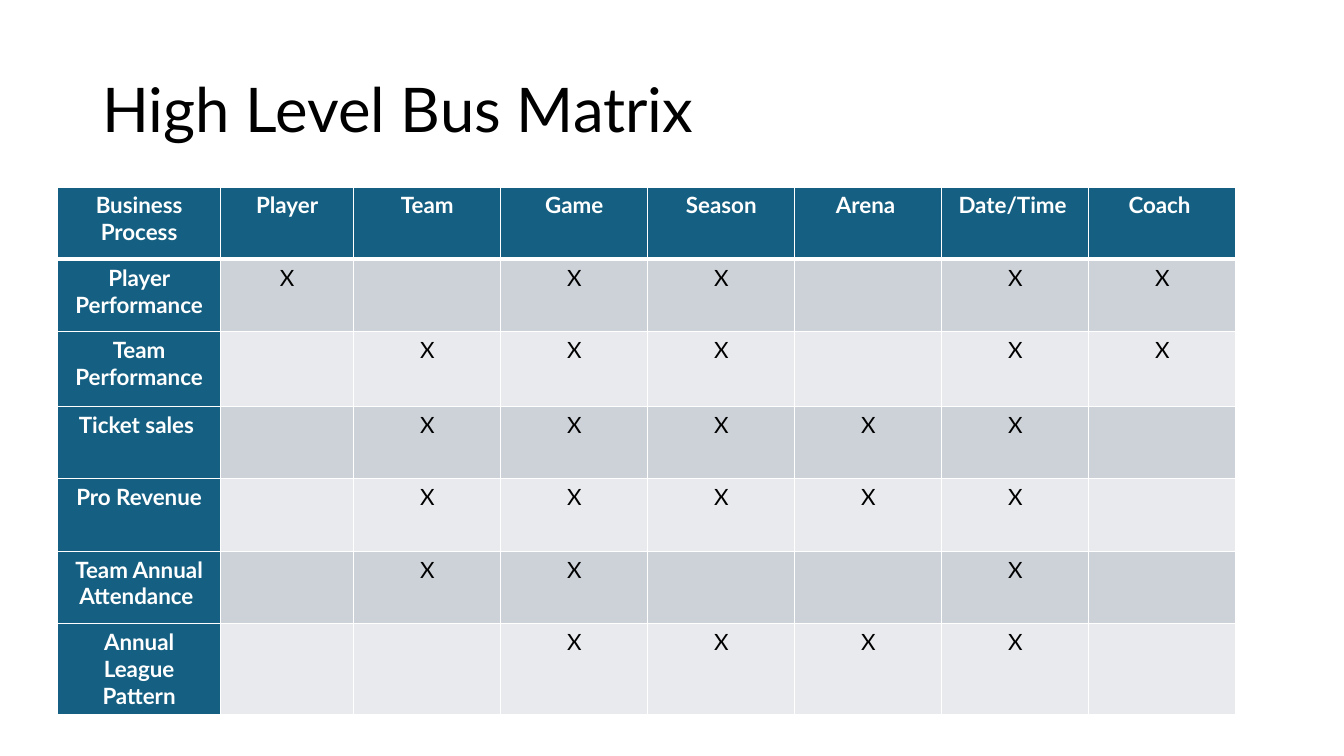
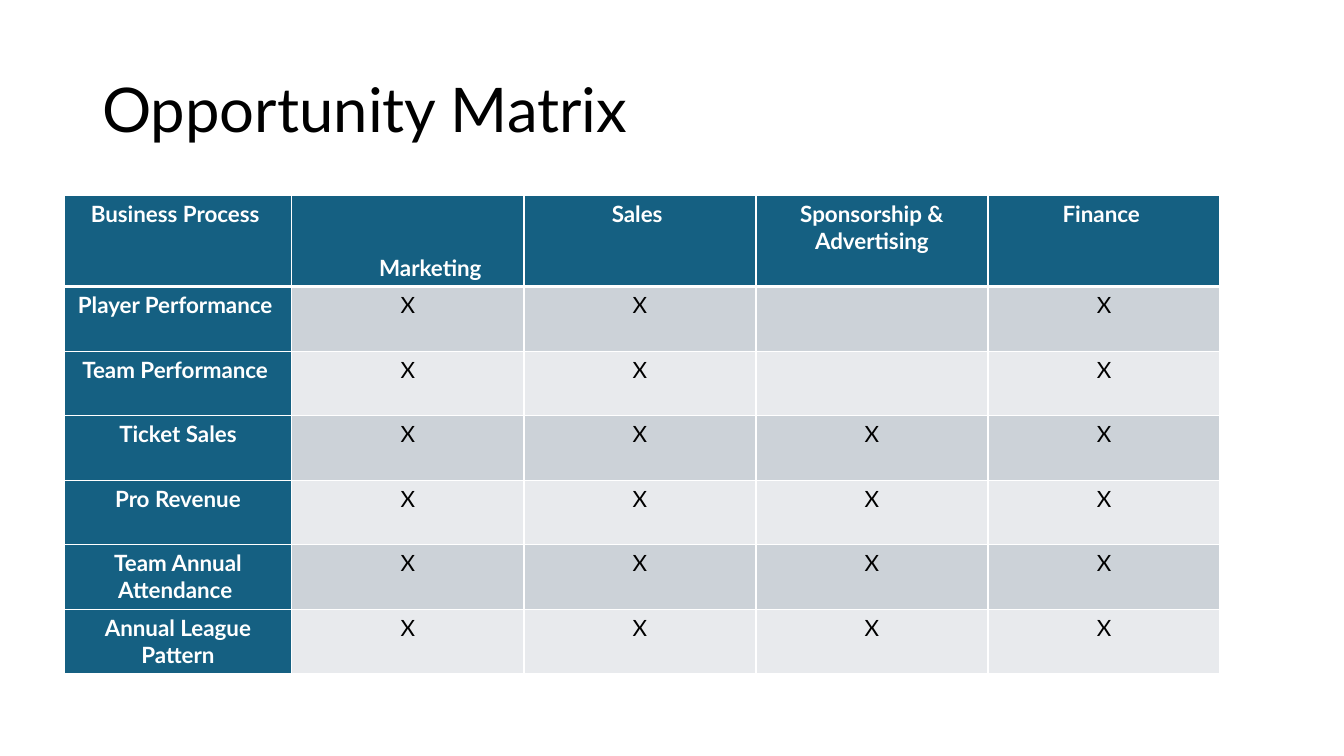
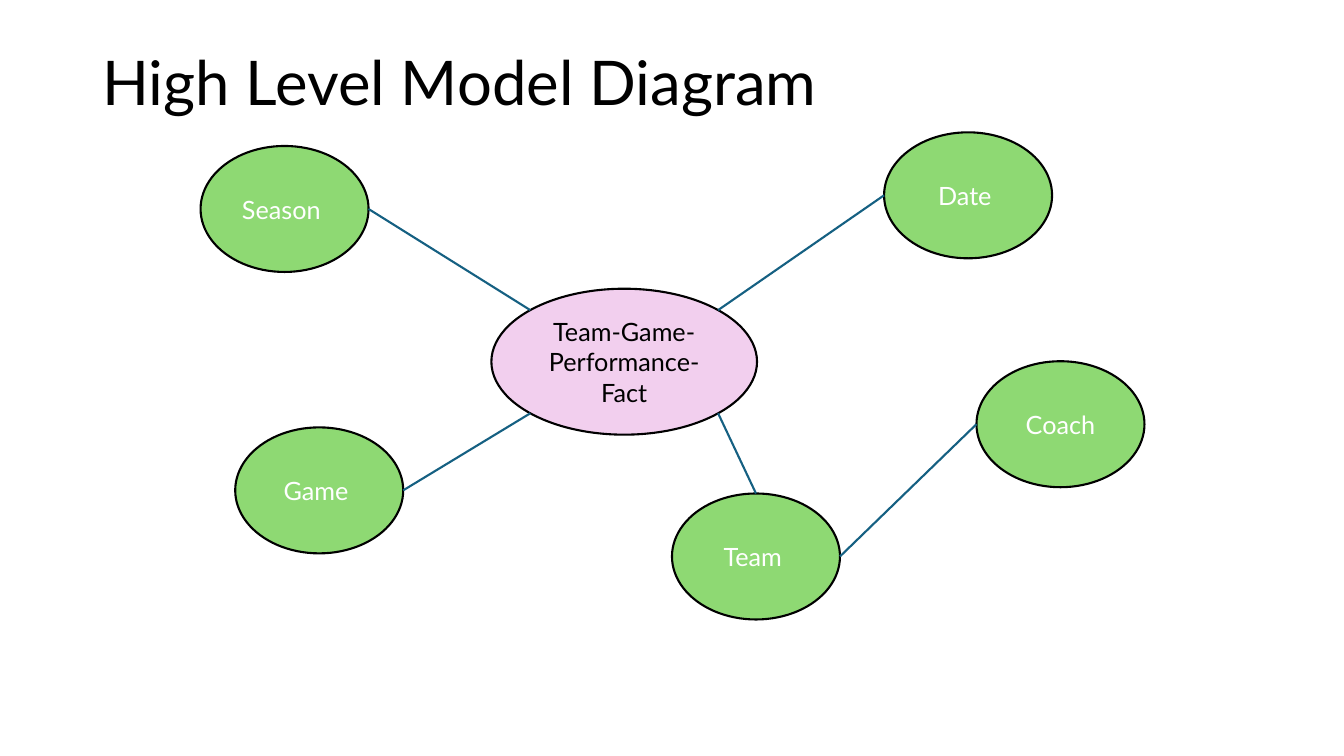
from math import cos, radians, sin

from lxml import etree
from pptx import Presentation
from pptx.dml.color import RGBColor
from pptx.enum.shapes import MSO_CONNECTOR, MSO_SHAPE
from pptx.enum.text import MSO_ANCHOR, PP_ALIGN
from pptx.oxml.ns import qn
from pptx.util import Emu, Pt

CENTER = PP_ALIGN.CENTER
TOP, MIDDLE, BOTTOM = MSO_ANCHOR.TOP, MSO_ANCHOR.MIDDLE, MSO_ANCHOR.BOTTOM
OVAL = MSO_SHAPE.OVAL
STRAIGHT = MSO_CONNECTOR.STRAIGHT

FONT = "Lato"
COLORS = {
    "text": "000000",
    "light": "FFFFFF",
    "header": "156082",
    "band_dark": "CCD2D8",
    "band_light": "E8EAED",
    "dimension": "8ED973",
    "fact": "F2CFEE",
}

# Connection sites of an ellipse run counter-clockwise from the top
(SITE_TOP, SITE_TOP_LEFT, SITE_LEFT, SITE_BOTTOM_LEFT,
 SITE_BOTTOM, SITE_BOTTOM_RIGHT, SITE_RIGHT, SITE_TOP_RIGHT) = range(8)


def px(length):
    return Emu(round(length * 9525))


def rgb(name):
    return RGBColor.from_string(COLORS[name])


def set_text(frame, text, size, color, bold=False, align=None):
    paragraph = frame.paragraphs[0]
    paragraph.text = text
    paragraph.alignment = align
    for run in paragraph.runs:
        run.font.name = FONT
        run.font.size = Pt(size)
        run.font.bold = bold
        run.font.color.rgb = rgb(color)
    return paragraph


def add_titled_slide(prs, title, height=139):
    slide = prs.slides.add_slide(prs.slide_layouts[6])
    box = slide.shapes.add_textbox(px(88), px(38), px(1104), px(height))
    frame = box.text_frame
    frame.word_wrap = True
    frame.vertical_anchor = MIDDLE
    set_text(frame, title, 44, "text").line_spacing = 0.9
    return slide


# Matrix tables

def set_borders(cell, top, bottom):
    properties = cell._tc.get_or_add_tcPr()
    for side, width in (("L", 1), ("R", 1), ("T", top), ("B", bottom)):
        border = etree.SubElement(properties, qn("a:ln" + side), w=str(Pt(width)))
        fill = etree.SubElement(border, qn("a:solidFill"))
        etree.SubElement(fill, qn("a:srgbClr"), val=COLORS["light"])


def style_cell(cell, row, column, text):
    heading = row == 0 or column == 0
    band = "band_dark" if row % 2 else "band_light"
    set_borders(cell, 3 if row == 1 else 1, 3 if row == 0 else 1)
    cell.fill.solid()
    cell.fill.fore_color.rgb = rgb("header" if heading else band)
    cell.vertical_anchor = TOP
    set_text(cell.text_frame, text, 16, "light" if heading else "text",
             heading, CENTER)


def add_matrix(slide, left, top, widths, heights, headings, processes):
    """Each process is a name and a string with X for a marked column."""
    table = slide.shapes.add_table(
        len(heights), len(widths), px(left), px(top),
        px(sum(widths)), px(sum(heights))).table
    table.horz_banding = False
    for column, width in zip(table.columns, widths):
        column.width = px(width)
    for row, height in zip(table.rows, heights):
        row.height = px(height)
    rows = [headings]
    for name, marks in processes:
        rows.append([name] + [mark.replace(".", "") for mark in marks])
    for r, texts in enumerate(rows):
        for c, text in enumerate(texts):
            style_cell(table.cell(r, c), r, c, text)
    return table


# Model diagram

def add_entity(slide, left, top, name, width=160, height=120,
               fill="dimension", color="light"):
    entity = slide.shapes.add_shape(OVAL, px(left), px(top), px(width), px(height))
    entity.shadow.inherit = False
    entity.fill.solid()
    entity.fill.fore_color.rgb = rgb(fill)
    entity.line.color.rgb = rgb("text")
    entity.line.width = Pt(1.5)
    entity.text_frame.word_wrap = True
    entity.text_frame.vertical_anchor = MIDDLE
    set_text(entity.text_frame, name, 18, color, align=CENTER)
    return entity


def site_point(entity, site):
    angle = radians(90 + 45 * site)
    x = entity.left + entity.width / 2 * (1 + cos(angle))
    y = entity.top + entity.height / 2 * (1 - sin(angle))
    return Emu(round(x)), Emu(round(y))


def link(slide, start, start_site, end, end_site):
    relation = slide.shapes.add_connector(
        STRAIGHT, *site_point(start, start_site), *site_point(end, end_site))
    relation.line.color.rgb = rgb("header")
    relation.line.width = Pt(1.5)
    element = relation._element
    etree.SubElement(element.spPr, qn("a:effectLst"))
    # Join both ends to the ellipse sites
    joints = element.find(".//" + qn("p:cNvCxnSpPr"))
    for tag, entity, site in (("a:stCxn", start, start_site),
                              ("a:endCxn", end, end_site)):
        etree.SubElement(joints, qn(tag), id=str(entity.shape_id), idx=str(site))


# Slides

def build_bus_matrix(prs):
    slide = add_titled_slide(prs, "High Level Bus Matrix")
    add_matrix(
        slide, 55, 178, [155, 127] + [140] * 6, [69, 69, 71, 69, 69, 69, 86],
        ["Business Process", "Player", "Team", "Game", "Season", "Arena ",
         "Date/Time ", "Coach "],
        [("Player Performance", "X.XX.XX"),
         ("Team Performance", ".XXX.XX"),
         ("Ticket sales ", ".XXXXX."),
         ("Pro Revenue", ".XXXXX."),
         ("Team Annual Attendance ", ".XX..X."),
         ("Annual League Pattern", "..XXXX.")])


def build_opportunity_matrix(prs):
    slide = add_titled_slide(prs, "Opportunity Matrix")
    table = add_matrix(
        slide, 61, 186, [217] + [221] * 4, [87] + [61.5] * 6,
        ["Business Process ", "Marketing ", "Sales ",
         "Sponsorship & Advertising", "Finance "],
        [("Player Performance ", "XX.X"),
         ("Team Performance ", "XX.X"),
         ("Ticket Sales", "XXXX"),
         ("Pro Revenue", "XXXX"),
         ("Team Annual Attendance ", "XXXX"),
         ("Annual League Pattern", "XXXX")])
    # The marketing heading is indented and sits at the bottom
    marketing = table.cell(0, 1)
    marketing.vertical_anchor = BOTTOM
    paragraph = marketing.text_frame.paragraphs[0]
    paragraph.level = 1
    paragraph._p.get_or_add_pPr().set("marL", str(px(48)))


def build_model_diagram(prs):
    slide = add_titled_slide(prs, "High Level Model Diagram", 86)
    fact = add_entity(slide, 468, 275, "Team-Game-Performance-Fact",
                      253, 139, "fact", "text")
    date = add_entity(slide, 842, 126, "Date ")
    team = add_entity(slide, 640, 470, "Team ")
    season = add_entity(slide, 191, 139, "Season ")
    game = add_entity(slide, 224, 407, "Game ")
    coach = add_entity(slide, 930, 344, "Coach")

    link(slide, coach, SITE_LEFT, team, SITE_RIGHT)
    link(slide, team, SITE_TOP, fact, SITE_BOTTOM_RIGHT)
    link(slide, season, SITE_RIGHT, fact, SITE_TOP_LEFT)
    link(slide, date, SITE_LEFT, fact, SITE_TOP_RIGHT)
    link(slide, fact, SITE_BOTTOM_LEFT, game, SITE_RIGHT)


def main():
    prs = Presentation()
    prs.slide_width, prs.slide_height = px(1280), px(720)
    build_bus_matrix(prs)
    build_opportunity_matrix(prs)
    build_model_diagram(prs)
    prs.save("out.pptx")


if __name__ == "__main__":
    main()
